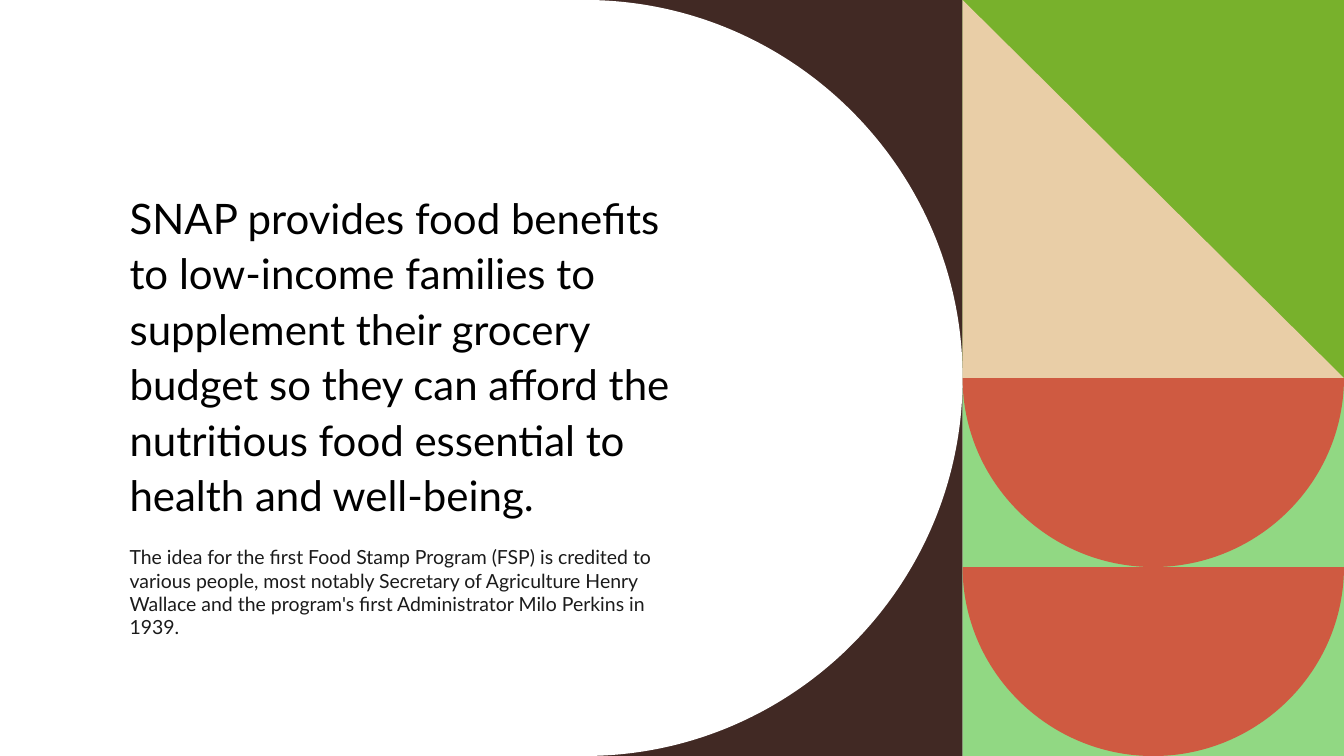
from lxml import etree
from pptx import Presentation
from pptx.dml.color import RGBColor
from pptx.enum import shapes, text
from pptx.oxml import ns
from pptx.util import Pt

WIDTH, HEIGHT = 960, 540
PANEL_LEFT = 687.6
PANEL_WIDTH = WIDTH - PANEL_LEFT
PANEL_CENTER = PANEL_LEFT + PANEL_WIDTH / 2
TILE_HEIGHT = HEIGHT / 2
BOWL_HEIGHT = HEIGHT / 4
BROWN_LEFT = 273.6
ROUND_START = PANEL_LEFT - TILE_HEIGHT
KAPPA = 0.55  # control point distance of a quarter circle

presentation = Presentation()
presentation.slide_width, presentation.slide_height = Pt(WIDTH), Pt(HEIGHT)
slide = presentation.slides.add_slide(presentation.slide_layouts[6])


def paint(shape, color):
    shape.shadow.inherit = False
    shape.fill.solid()
    shape.fill.fore_color.rgb = RGBColor.from_string(color)
    shape.line.fill.background()


def add_outline(points, color, curve_start=None):
    """Draw a closed outline; the six segments from curve_start become two Bezier curves."""
    corners = [(Pt(x), Pt(y)) for x, y in points]
    builder = slide.shapes.build_freeform(*corners[0])
    builder.add_line_segments(corners[1:], close=True)
    shape = builder.convert_to_shape()
    paint(shape, color)
    if curve_start is None:
        return
    segments = shape._element.xpath(".//a:lnTo")
    for first in (curve_start, curve_start + 3):
        curve = etree.Element(ns.qn("a:cubicBezTo"))
        segments[first].addprevious(curve)
        for segment in segments[first:first + 3]:
            curve.append(segment[0])
            segment.getparent().remove(segment)


# Rectangles behind the curved and slanted outlines
for left, top, width, height, color in [
    (0, 0, WIDTH, HEIGHT, "FFFFFF"),
    (BROWN_LEFT, 0, PANEL_LEFT - BROWN_LEFT, HEIGHT, "412924"),
    (PANEL_LEFT, 0, PANEL_WIDTH, TILE_HEIGHT, "78B12C"),
    (PANEL_LEFT, TILE_HEIGHT, PANEL_WIDTH, TILE_HEIGHT, "91D883"),
]:
    tile = slide.shapes.add_shape(
        shapes.MSO_SHAPE.RECTANGLE, Pt(left), Pt(top), Pt(width), Pt(height))
    paint(tile, color)

# White text area with a round end
handle = KAPPA * TILE_HEIGHT
add_outline([
    (0, 0), (ROUND_START, 0),
    (ROUND_START + handle, 0), (PANEL_LEFT, TILE_HEIGHT - handle),
    (PANEL_LEFT, TILE_HEIGHT),
    (PANEL_LEFT, TILE_HEIGHT + handle), (ROUND_START + handle, HEIGHT),
    (ROUND_START, HEIGHT), (0, HEIGHT),
], "FFFFFF", curve_start=1)

# Title and note
title = ("SNAP provides food benefits to low-income families to supplement their "
         "grocery budget so they can afford the nutritious food essential to "
         "health and well-being.")
note = ("The idea for the first Food Stamp Program (FSP) is credited to various "
        "people, most notably Secretary of Agriculture Henry Wallace and the "
        "program's first Administrator Milo Perkins in 1939.")
for wording, top, height, anchor, size, color, spacing, before in [
    (title, 126, 249, text.MSO_ANCHOR.BOTTOM, 30, "000000", 1.1, 0),
    (note, 386, 78, text.MSO_ANCHOR.TOP, 13.9, "1B1B1B", None, 10),
]:
    box = slide.shapes.add_textbox(Pt(85.5), Pt(top), Pt(414.7), Pt(height))
    frame = box.text_frame
    frame.word_wrap = True
    frame.vertical_anchor = anchor
    paragraph = frame.paragraphs[0]
    paragraph.line_spacing = spacing
    paragraph.space_before = Pt(before)
    run = paragraph.add_run()
    run.text = wording
    run.font.name = "Lato"
    run.font.size = Pt(size)
    run.font.color.rgb = RGBColor.from_string(color)

# Sand triangle and two red bowls
add_outline([(PANEL_LEFT, 0), (WIDTH, TILE_HEIGHT), (PANEL_LEFT, TILE_HEIGHT)], "E9CEA7")
handle_x, handle_y = KAPPA * PANEL_WIDTH / 2, KAPPA * BOWL_HEIGHT
for top in (TILE_HEIGHT, TILE_HEIGHT + BOWL_HEIGHT):
    bottom = top + BOWL_HEIGHT
    add_outline([
        (WIDTH, top),
        (WIDTH, top + handle_y), (PANEL_CENTER + handle_x, bottom),
        (PANEL_CENTER, bottom),
        (PANEL_CENTER - handle_x, bottom), (PANEL_LEFT, top + handle_y),
        (PANEL_LEFT, top),
    ], "CF5A41", curve_start=0)

presentation.save("out.pptx")
